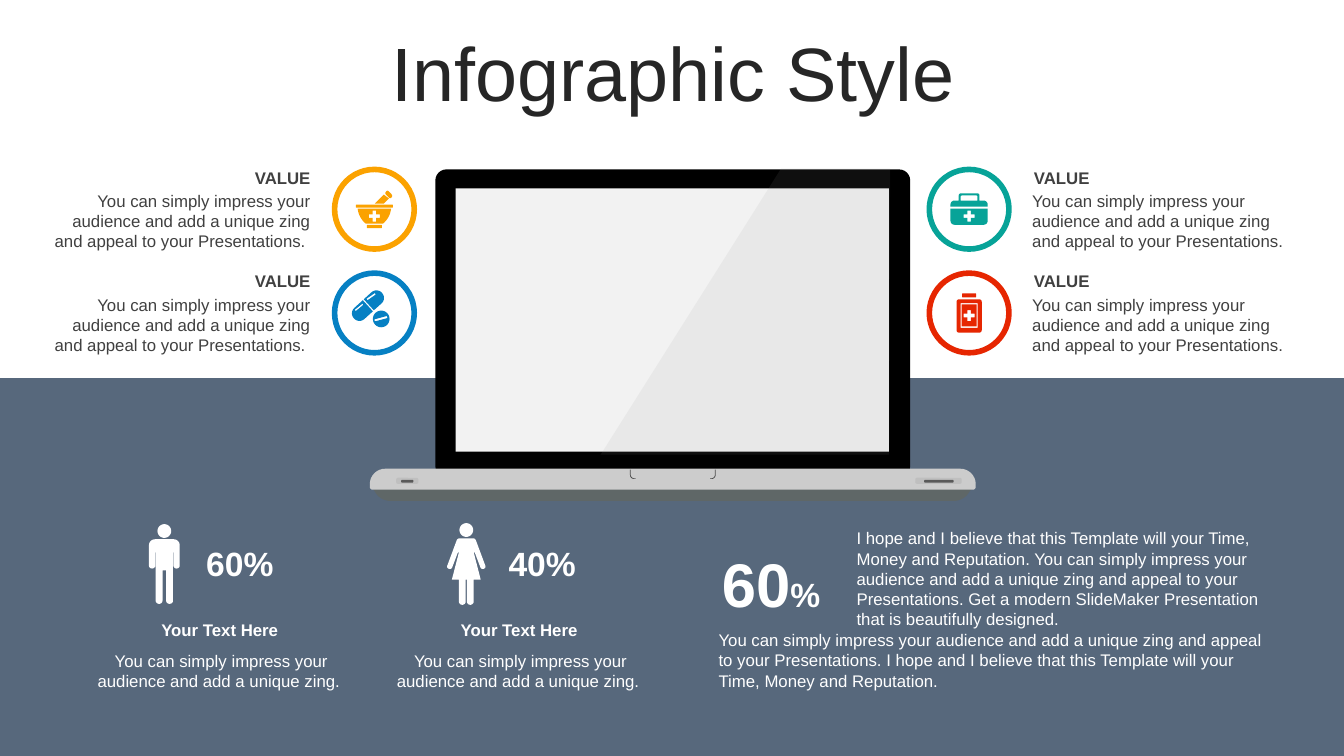
"""Builds the medical infographic slide with a laptop, icons and figures."""
import math

import lxml.etree
import pptx
import pptx.dml.color
import pptx.enum.shapes
import pptx.enum.text
import pptx.oxml.ns
import pptx.util

Pt = pptx.util.Pt
RGB = pptx.dml.color.RGBColor.from_string
KIND = pptx.enum.shapes.MSO_SHAPE
ALIGN = pptx.enum.text.PP_ALIGN
ANCHOR = pptx.enum.text.MSO_ANCHOR

HUES = {
    "white": "FFFFFF", "slate": "57687C", "black": "000000", "screen": "F2F2F2",
    "base": "CCCCCC", "under": "5F6767", "notch": "4D4D4D", "port": "BFBFBF",
    "slot": "595959", "glare": "999999", "title": "262626", "body": "404040",
    "teal": "07A398", "red": "E62601", "blue": "0680C3", "amber": "FBA200",
}

deck = pptx.Presentation()
deck.slide_width, deck.slide_height = Pt(960), Pt(540)
slide = deck.slides.add_slide(deck.slide_layouts[6])
shapes = slide.shapes


def draw(parts, hue, dx=0, dy=0):
    """Fill outlines of (x, y, radius) corners or (x, y, w, h, radius) boxes."""
    pen = None
    for part in parts:
        if not isinstance(part[0], tuple):
            x, y, w, h, r = part
            part = [(x, y, r), (x + w, y, r), (x + w, y + h, r), (x, y + h, r)]
        dots = []
        for i, (x, y, *r) in enumerate(part):
            if not r or not r[0]:
                dots.append((x, y))
                continue
            ends = []
            for far in (part[i - 1], part[(i + 1) % len(part)]):
                k = r[0] / math.hypot(far[0] - x, far[1] - y)
                ends.append(((far[0] - x) * k, (far[1] - y) * k))
            for n in range(9):
                t = n / 8
                a = (1 - t) ** 3 + 1.35 * t * (1 - t) ** 2
                b = t ** 3 + 1.35 * t * t * (1 - t)
                dots.append((x + a * ends[0][0] + b * ends[1][0],
                             y + a * ends[0][1] + b * ends[1][1]))
        dots = [((x + dx) * 100, (y + dy) * 100) for x, y in dots]
        if pen is None:
            pen = shapes.build_freeform(*dots[0], scale=Pt(1) / 100)
        else:
            pen.move_to(*dots[0])
        pen.add_line_segments(dots[1:], close=True)
    form = pen.convert_to_shape()
    form.shadow.inherit = False
    form.fill.solid()
    form.fill.fore_color.rgb = RGB(HUES[hue])
    form.line.fill.background()
    return form


def write(box, runs, hue, align=ALIGN.LEFT, anchor=ANCHOR.TOP, inset=(7.2, 3.6), bold=False):
    """Add a text box holding one paragraph of (text, size) runs."""
    frame = shapes.add_textbox(*map(Pt, box)).text_frame
    form = {"word_wrap": True, "vertical_anchor": anchor,
            "margin_left": Pt(inset[0]), "margin_right": Pt(inset[0]),
            "margin_top": Pt(inset[1]), "margin_bottom": Pt(inset[1])}
    for key, value in form.items():
        setattr(frame, key, value)
    para = frame.paragraphs[0]
    para.alignment = align
    for text, size in runs:
        run = para.add_run()
        run.text = text
        for key, value in {"name": "Arial", "size": Pt(size), "bold": bold}.items():
            setattr(run.font, key, value)
        run.font.color.rgb = RGB(HUES[hue])
    return para


floor = (KIND.RECTANGLE, 0, 270, 960, 270, "slate", 0)
lid = (KIND.ROUNDED_RECTANGLE, 311, 121, 339.2, 219.6, "black", 0.036)
screen = (KIND.RECTANGLE, 325.4, 134.6, 309.6, 188, "screen", 0)
ports = [(KIND.ROUNDED_RECTANGLE, *spot, 0.28) for spot in (
    (283, 341.3, 15.8, 4.3, "port"), (286.6, 342.7, 8.6, 2, "slot"),
    (653.8, 341.3, 33.1, 4.3, "port"), (660.2, 342.7, 20.9, 2, "slot"))]
under = [(266.4, 349), (694, 349), (688, 357.8, 6), (272, 357.8, 6)]
base = [(264.2, 334.8, 11), (697, 334.8, 11), (697, 349.8, 2), (264.2, 349.8, 2)]
curl = [(30.6, 335.5), (30.6, 342.2, 3), (26.6, 342.2),
        (26.6, 341.7), (30.1, 341.7, 2.7), (30.1, 335.5)]

for item in (floor, under, lid, screen, base, *ports):
    if isinstance(item, list):
        draw([item], "under" if item is under else "base")
        continue
    kind, *spot, hue, bend = item
    form = shapes.add_shape(kind, *map(Pt, spot))
    form.shadow.inherit = False
    form.fill.solid()
    form.fill.fore_color.rgb = RGB(HUES[hue])
    form.line.fill.background()
    if bend:
        form.adjustments[0] = bend

draw([[(side * x, y, *r) for x, y, *r in curl] for side in (-1, 1)], "notch", 480.6)
glare = draw([[(558, 120.3), (635.8, 120.3), (635.2, 324.7), (429.1, 324.7)]], "glare")
tint = glare.element.find(".//" + pptx.oxml.ns.qn("a:srgbClr"))
lxml.etree.SubElement(tint, pptx.oxml.ns.qn("a:alpha")).set("val", "10000")

man = [(11, 10.8, 4.3), (11, 31.7, 2.2), (6.5, 31.7, 2.2), (6.5, 20.2), (6.2, 20.2),
       (6.2, 56.9, 2.3), (1.3, 56.9, 2.3), (1.3, 33.1)]
woman = [(6.3, 10.8, 1.5), (14.2, 32, 1.7), (10.7, 33.2, 1.7), (6, 20.9), (5.3, 20.9),
         (10.3, 40.3), (5.3, 40.3), (5.3, 58.3, 2.4), (0.4, 58.3, 2.4), (0.4, 40.3)]
people = [(man, 117.4, 374.4, 134.6, 59.8, "60%"),
          (woman, 333.1, 373.7, 350.6, 273.6, "40%")]
for half, mid, top, left, edge, share in people:
    body = half + [(-x, y, *r) for x, y, *r in reversed(half)]
    draw([(-4.9, 0, 9.8, 9.8, 4.9), body], "white", mid, top)
    write((left, 384.5, 73.4, 36), [(share, 24)], "white", ALIGN.CENTER, ANCHOR.MIDDLE, bold=True)
    write((edge, 439.2, 194.4, 21.6), [("Your Text Here", 12)], "white", ALIGN.CENTER, bold=True)
    write((edge, 461.5, 196.6, 36),
          [("You can simply impress your audience and add a unique zing. ", 12)],
          "white", ALIGN.CENTER)

write((496.8, 385.9, 108, 60.5), [("60", 44), ("%", 24)], "white",
      ALIGN.CENTER, ANCHOR.MIDDLE, bold=True)
write((506.2, 446.4, 407.5, 51.1),
      [("You can simply impress your audience and add a unique zing and appeal to your "
        "Presentations. I hope and I believe that this Template will your Time, Money "
        "and Reputation.", 12)], "white")
write((604.8, 373.7, 321.8, 79.9),
      [("I hope and I believe that this Template will your Time, Money and Reputation. "
        "You can simply impress your audience and add a unique zing and appeal to your "
        "Presentations. Get a modern SlideMaker Presentation that is beautifully "
        "designed.", 12)], "white")

a, b = 1.3, 3.9
cross = [(-a, -b), (a, -b), (a, -a), (b, -a), (b, a), (a, a),
         (a, b), (-a, b), (-a, a), (-b, a), (-b, -a), (-a, -a)]
low = [(x, y + 5) for x, y in cross]
kit = [low, [(-13.3, -0.4), (13.3, -0.4), (13.3, 11.2, 2.9), (-13.3, 11.2, 2.9)],
       [(-13.3, -6.1, 2.9), (13.3, -6.1, 2.9), (13.3, -1.8), (-13.3, -1.8)],
       [(-7.4, -6.1), (-7.4, -11.2, 1.4), (7.4, -11.2, 1.4), (7.4, -6.1),
        (6, -6.1), (6, -9.7, 0.7), (-6, -9.7, 0.7), (-6, -6.1)]]
bowl = [low, (-5.4, 11.2, 10.8, 2.4, 0.5), (-13.3, -3.2, 26.6, 2.1, 0.5),
        [(-12, -0.4), (12, -0.4), (10.4, 7, 5), (6, 10.4), (-6, 10.4), (-10.4, 7, 5)],
        [(6.8, -10.4), (10.4, -7.6), (6.8, -4), (0.4, -4)],
        [(9.4, -13.7, 1.2), (13.3, -9.5, 1.5), (11.2, -7.4, 1), (7.4, -11.4, 1)]]
pills = [(-1.1, -1.6, 11.9, 11.9, 5.95),
         [(-0.2, 4.7, 0.7), (9, 2.2, 0.7), (9.4, 3.7, 0.7), (0.4, 6.1, 0.7)],
         [(-8.3, -9), (-1.1, -1.1), (-11, 7.9, 5.2), (-18.2, 0, 5.2)],
         [(-7.6, -9.7), (1.8, -18.2, 5.2), (9, -10.3, 5.2), (-0.4, -1.8)],
         [(0.4, -14.2), (0.9, -13), (-4.9, -9), (-5.7, -10)],
         [(-8.3, -6.8), (-8.1, -5.6), (-13.4, -1.2), (-14, -2.2)]]
flask = [[(x, y + 1.9) for x, y in cross], (-5.4, -6.1, 10.8, 15.8, 0),
         (-6.1, -6.9, 12.2, 17.6, 0), (-9, -9.7, 18, 23.8, 1.8), (-5, -14, 10, 2.9, 0.5)]

pitch = "You can simply impress your audience and add a unique zing and appeal to your Presentations."
sides = [(239, 37, 184.8, 37, ALIGN.RIGHT, " ", [(bowl, "amber"), (pills, "blue")]),
         (663.8, 737.3, 188.6, 738.5, ALIGN.LEFT, "", [(kit, "teal"), (flask, "red")])]
for ring, left, wide, head, align, tail, icons in sides:
    for row, (icon, hue) in enumerate(icons):
        drop = 74.1 * row
        disc = shapes.add_shape(KIND.OVAL, Pt(ring), Pt(121 + drop), Pt(56.9), Pt(56.9))
        disc.shadow.inherit = False
        disc.fill.solid()
        disc.fill.fore_color.rgb = RGB(HUES["white"])
        disc.line.color.rgb = RGB(HUES[hue])
        disc.line.width = Pt(4)
        draw(icon, hue, ring + 28.45, 149.4 + drop)
        write((left, 136.1 + drop, wide, 43.9), [(pitch + tail, 12)], "body", align, inset=(0, 0))
        write((head, 119.5 + drop, wide, 14.4), [("VALUE", 12)], "body", align,
              inset=(0, 0), bold=True)

title = write((25.2, 26.6, 911.5, 56.9), [("Infographic Style", 54)], "title",
              ALIGN.CENTER, ANCHOR.MIDDLE)
title.line_spacing = 0.9

deck.save("out.pptx")
